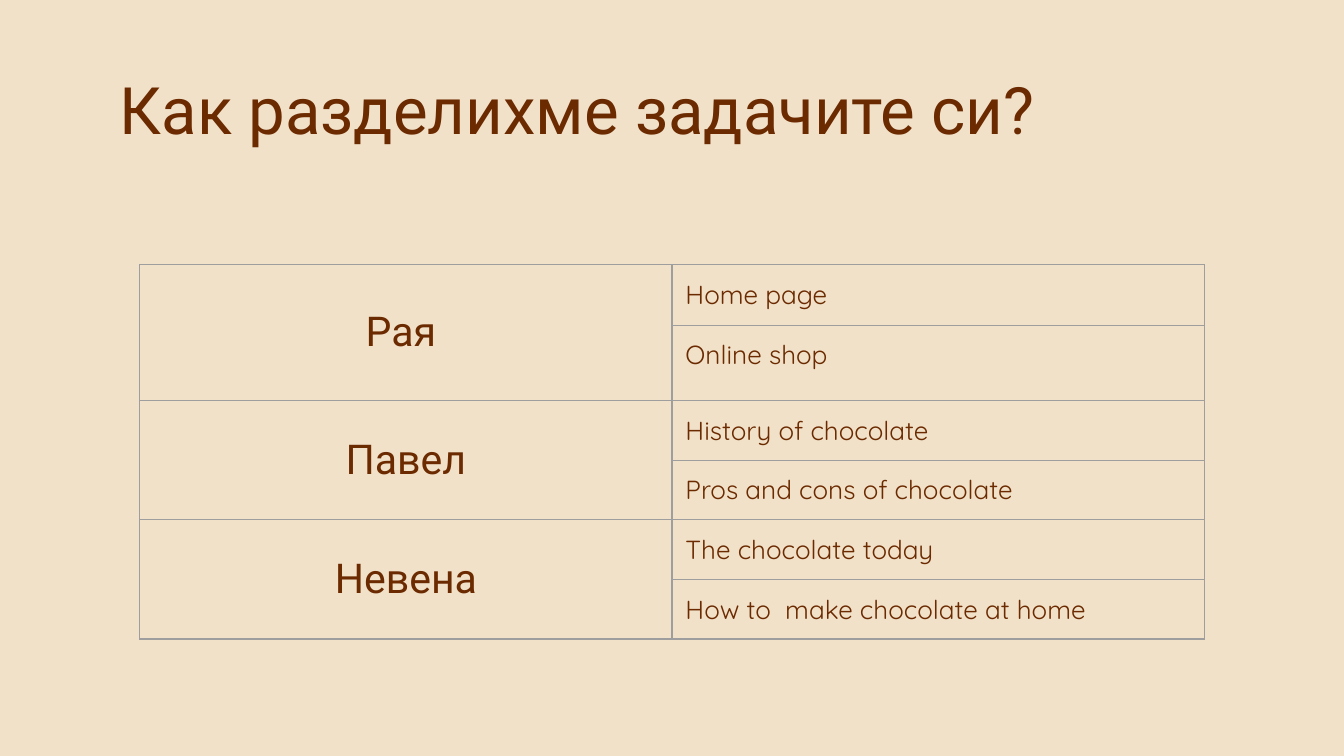
from typing import NamedTuple

from lxml.etree import SubElement
from pptx import Presentation
from pptx.dml.color import RGBColor
from pptx.enum.text import MSO_ANCHOR, PP_ALIGN
from pptx.oxml.ns import qn
from pptx.util import Inches, Pt

COLORS = {"back": "F1E1C9", "text": "6B2A00", "line": "9E9E9E"}
PAD = Inches(0.1)


class Style(NamedTuple):
    font: str
    size: float
    align: PP_ALIGN
    anchor: MSO_ANCHOR


class Member(NamedTuple):
    name: str
    tasks: tuple[str, ...]


TITLE = Style("Roboto", 35, PP_ALIGN.LEFT, MSO_ANCHOR.MIDDLE)
NAME = Style("Roboto", 22, PP_ALIGN.CENTER, MSO_ANCHOR.MIDDLE)
TASK = Style("Quicksand", 14, PP_ALIGN.LEFT, MSO_ANCHOR.TOP)

TEAM = [
    Member("Рая ", ("Home page", "Online shop")),
    Member("Павел", ("History of chocolate", "Pros and cons of chocolate")),
    Member("Невена", ("The chocolate today", "How to  make chocolate at home")),
]
ROWS = [0.45, 0.56] + [0.44] * 4
WIDTH = 3.96


def apply(target, values: dict) -> None:
    for key, value in values.items():
        setattr(target, key, value)


def write(frame, text: str, style: Style) -> None:
    frame.text = text
    para = frame.paragraphs[0]
    para.alignment = style.align
    font = para.runs[0].font
    apply(font, {"name": style.font, "size": Pt(style.size), "bold": False})
    font.color.rgb = RGBColor.from_string(COLORS["text"])


def inset(box, anchor: MSO_ANCHOR) -> None:
    """Set equal margins and the anchor of a cell or text frame."""
    sides = ("left", "right", "top", "bottom")
    apply(box, {f"margin_{side}": PAD for side in sides})
    box.vertical_anchor = anchor


def border(cell) -> None:
    props = cell._tc.get_or_add_tcPr()
    for i, tag in enumerate(("a:lnL", "a:lnR", "a:lnT", "a:lnB")):
        line = props.makeelement(qn(tag), {"w": str(Pt(0.75))})
        fill = SubElement(line, qn("a:solidFill"))
        SubElement(fill, qn("a:srgbClr"), val=COLORS["line"])
        props.insert(i, line)


def add_team(slide, team: list[Member]) -> None:
    frame = slide.shapes.add_table(
        len(ROWS), 2, Inches(1.04), Inches(1.97),
        Inches(2 * WIDTH), Inches(sum(ROWS)))
    table = frame.table
    apply(table, {"first_row": False, "horz_banding": False})
    for col in table.columns:
        col.width = Inches(WIDTH)
    for row, height in zip(table.rows, ROWS):
        row.height = Inches(height)
    for cell in table.iter_cells():
        cell.fill.background()
        border(cell)

    top = 0
    for member in team:
        end = top + len(member.tasks)
        head = table.cell(top, 0)
        head.merge(table.cell(end - 1, 0))
        write(head.text_frame, member.name, NAME)
        inset(head, NAME.anchor)
        for row, task in enumerate(member.tasks, top):
            cell = table.cell(row, 1)
            write(cell.text_frame, task, TASK)
            inset(cell, TASK.anchor)
        top = end


def main() -> None:
    deck = Presentation()
    wide = Inches(10)
    apply(deck, {"slide_width": wide, "slide_height": wide * 9 // 16})
    slide = deck.slides.add_slide(deck.slide_layouts[5])
    back = slide.background.fill
    back.solid()
    back.fore_color.rgb = RGBColor.from_string(COLORS["back"])

    title = slide.shapes.title
    apply(title, {"left": Inches(0.79), "top": Inches(0.49),
                  "width": Inches(8.43), "height": Inches(0.63)})
    write(title.text_frame, "Как разделихме задачите си?", TITLE)
    inset(title.text_frame, TITLE.anchor)

    add_team(slide, TEAM)
    deck.save("out.pptx")


if __name__ == "__main__":
    main()
